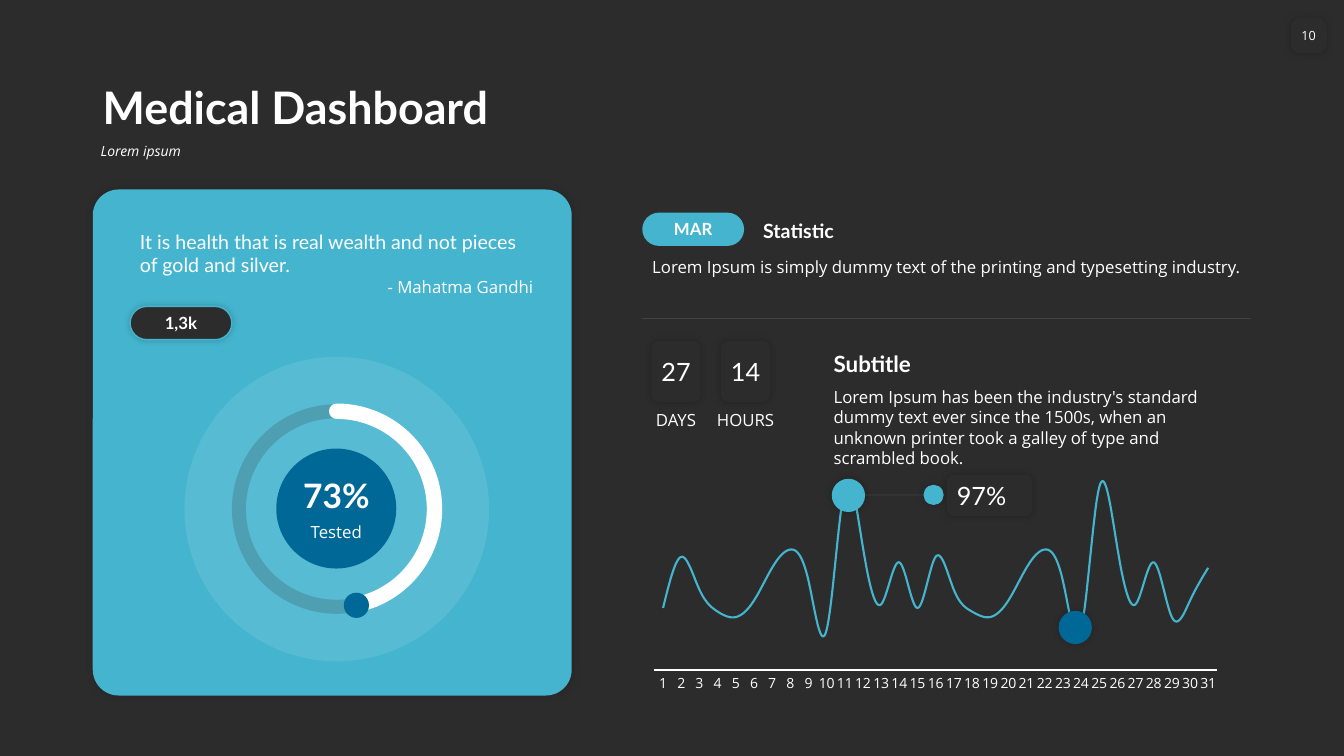
from lxml import etree
from pptx import Presentation
from pptx import util as u
from pptx.chart import data as chart_data
from pptx.dml.color import RGBColor
from pptx.enum import chart as charts, shapes, text
from pptx.oxml import parse_xml
from pptx.oxml.ns import nsdecls, qn

PX = 9144
DARK, AQUA, NAVY, WHITE = "2C2C2C", "45B5CF", "006896", "FFFFFF"
LATO, SANS = "Lato", "Open Sans"
LEFT, CENTER, RIGHT = text.PP_ALIGN.LEFT, text.PP_ALIGN.CENTER, text.PP_ALIGN.RIGHT
TOP, MIDDLE, BOTTOM = (text.MSO_ANCHOR.TOP, text.MSO_ANCHOR.MIDDLE,
                       text.MSO_ANCHOR.BOTTOM)
ROUND, OVAL, ARC = (shapes.MSO_SHAPE.ROUNDED_RECTANGLE, shapes.MSO_SHAPE.OVAL,
                    shapes.MSO_SHAPE.ARC)
SOFT, CARD = (20, 5, 0), (15, 6, 1)


def color(hex_code):
    return RGBColor.from_string(hex_code)


def px(*lengths):
    return [u.Emu(length * PX) for length in lengths]


def fade(fill, percent):
    tint = fill._xPr.find(qn("a:solidFill"))[0]
    etree.SubElement(tint, qn("a:alpha"), val=str(percent * 1000))


class Dashboard:
    """Draws styled elements on the current slide."""

    def __init__(self, deck):
        self.slide = deck.slides.add_slide(deck.slide_layouts[6])
        self.slide.background.fill.solid()
        self.slide.background.fill.fore_color.rgb = color(DARK)

    def set_text(self, frame, paragraphs, anchor, insets, wrap=True):
        frame.word_wrap = wrap
        frame.vertical_anchor = anchor
        (frame.margin_left, frame.margin_top,
         frame.margin_right, frame.margin_bottom) = px(*insets)
        for index, (words, size, font, align, style) in enumerate(paragraphs):
            line = frame.add_paragraph() if index else frame.paragraphs[0]
            line.alignment = align
            run = line.add_run()
            run.text = words
            run.font.size = u.Pt(size)
            run.font.name = font
            run.font.color.rgb = color(WHITE)
            run.font.bold = "b" in style
            run.font.italic = "i" in style

    def label(self, box, *paragraphs, anchor=TOP, insets=(10, 5, 10, 5), spacing=None):
        frame = self.slide.shapes.add_textbox(*px(*box)).text_frame
        self.set_text(frame, paragraphs, anchor, insets)
        if spacing:
            frame.paragraphs[0].line_spacing = spacing

    def shape(self, kind, box, fill=None, line=None, width=1, adjust=(), alpha=None,
              line_alpha=None, shadow=None, words=None, insets=(0, 5, 0, 5), wrap=True):
        item = self.slide.shapes.add_shape(kind, *px(*box))
        item.shadow.inherit = False
        for index, value in enumerate(adjust):
            item.adjustments[index] = value
        if fill:
            item.fill.solid()
            item.fill.fore_color.rgb = color(fill)
            if alpha:
                fade(item.fill, alpha)
        else:
            item.fill.background()
        if line:
            item.line.color.rgb = color(line)
            item.line.width = u.Pt(width)
            if line_alpha:
                fade(item.line.fill, line_alpha)
        else:
            item.line.fill.background()
        if shadow:
            strength, blur, distance = shadow
            effects = item._element.spPr.find(qn("a:effectLst"))
            effects.append(parse_xml(
                f'<a:outerShdw {nsdecls("a")} blurRad="{u.Pt(blur)}" '
                f'dist="{u.Pt(distance)}" dir="2700000" algn="tl" rotWithShape="0">'
                f'<a:srgbClr val="000000"><a:alpha val="{strength * 1000}"/>'
                '</a:srgbClr></a:outerShdw>'))
        if words:
            self.set_text(item.text_frame, [words], MIDDLE, insets, wrap)
        return item

    def rule(self, left, right, y):
        item = self.slide.shapes.add_connector(
            shapes.MSO_CONNECTOR.STRAIGHT, *px(left, y, right, y))
        item.line.color.rgb = color(WHITE)
        item.line.width = u.Pt(0.5)
        fade(item.line.fill, 10)
        etree.SubElement(item._element.spPr, qn("a:effectLst"))

    def line_chart(self, box, values):
        source = chart_data.CategoryChartData()
        source.categories = [str(day) for day in range(1, len(values) + 1)]
        source.add_series("Series 1", values)
        chart = self.slide.shapes.add_chart(
            charts.XL_CHART_TYPE.LINE_STACKED, *px(*box), source).chart
        chart.has_legend = chart.has_title = False
        chart.font.size = u.Pt(10)
        chart.font.name = SANS
        chart.font.color.rgb = color(WHITE)
        days, scale = chart.category_axis, chart.value_axis
        days.major_tick_mark = days.minor_tick_mark = charts.XL_TICK_MARK.NONE
        days.format.line.color.rgb = color(WHITE)
        days.format.line.width = u.Pt(0.75)
        scale.minimum_scale, scale.maximum_scale = 0, 120
        scale.has_major_gridlines = scale.visible = False
        plot = chart.plots[0]
        plot.vary_by_categories = False
        curve = plot.series[0]
        curve.smooth = True
        curve.marker.style = charts.XL_MARKER_STYLE.NONE
        curve.format.line.color.rgb = color(AQUA)
        curve.format.line.width = u.Pt(1.5)
        area = chart._chartSpace.chart.plotArea
        for old in area.findall(qn("c:layout")):
            area.remove(old)
        area.insert(0, parse_xml(
            f'<c:layout {nsdecls("c")}><c:manualLayout><c:layoutTarget val="inner"/>'
            '<c:xMode val="edge"/><c:yMode val="edge"/><c:x val="0.02"/>'
            '<c:y val="0.01"/><c:w val="0.96"/><c:h val="0.88"/>'
            '</c:manualLayout></c:layout>'))


def main():
    deck = Presentation()
    deck.slide_width, deck.slide_height = px(1333, 750)
    board = Dashboard(deck)

    board.shape(ROUND, (92, 188, 475, 502), AQUA, adjust=[0.054], shadow=CARD)
    board.label((92, 58, 1150, 80), ("Medical Dashboard", 32, LATO, LEFT, "b"),
                anchor=BOTTOM, spacing=0.9)
    board.label((90, 138, 1152, 36), ("Lorem ipsum", 10, SANS, LEFT, "i"), spacing=0.9)
    board.shape(ROUND, (1280, 18, 36, 35), DARK, adjust=[0.267], shadow=SOFT,
                words=("10", 9, SANS, CENTER, ""), wrap=False)

    board.label((129, 223, 410, 77),
                ("It is health that is real wealth and not pieces of gold and silver.",
                 14, LATO, LEFT, ""),
                ("- Mahatma Gandhi", 12, SANS, RIGHT, ""))
    board.shape(ROUND, (129, 304, 101, 33), DARK, AQUA, adjust=[0.5], shadow=SOFT,
                words=("1,3k", 12, LATO, CENTER, "b"), insets=(0, 0, 0, 0))

    ring = (237, 408, 194, 194)
    board.shape(OVAL, (183, 354, 302, 302), WHITE, alpha=10)
    board.shape(OVAL, (274, 445, 119, 119), NAVY)
    board.shape(OVAL, ring, line=DARK, width=10, line_alpha=20)
    progress = board.shape(ARC, ring, line=WHITE, width=11, adjust=[162, 44.96])
    progress.line._get_or_add_ln().set("cap", "rnd")
    board.shape(OVAL, (341, 588, 25, 25), NAVY)
    board.label((274, 466, 119, 50), ("73%", 24, LATO, CENTER, "b"), anchor=BOTTOM)
    board.label((274, 513, 119, 30), ("Tested", 12, SANS, CENTER, ""))

    board.label((747, 211, 494, 34), ("Statistic", 14, LATO, LEFT, "b"), anchor=BOTTOM)
    board.label((637, 250, 605, 30),
                ("Lorem Ipsum is simply dummy text of the printing and typesetting "
                 "industry.", 12, SANS, LEFT, ""))
    board.shape(ROUND, (637, 211, 101, 33), AQUA, adjust=[0.5],
                words=("MAR", 12, LATO, CENTER, "b"), insets=(0, 0, 0, 0))
    board.rule(637, 1241, 316)

    fortnight = [34, 62, 44, 32, 29, 38, 56, 66, 49, 22, 100, 67, 36, 59]
    board.line_chart((637, 445, 582, 247), fortnight * 2 + [29, 38, 56])

    for count, unit, left, width in (("27", "DAYS", 646, 59), ("14", "HOURS", 715, 67)):
        board.shape(ROUND, (left, 338, 49, 61), DARK, shadow=SOFT,
                    words=(count, 18, LATO, CENTER, ""))
        board.label((left + (49 - width) // 2, 402, width, 30),
                    (unit, 12, SANS, CENTER, ""), insets=(4, 5, 4, 5))

    board.label((817, 342, 426, 37), ("Subtitle", 16, LATO, LEFT, "b"), anchor=BOTTOM)
    board.label((817, 379, 426, 71),
                ("Lorem Ipsum has been the industry's standard dummy text ever since "
                 "the 1500s, when an unknown printer took a galley of type and "
                 "scrambled book.", 12, SANS, LEFT, ""))

    board.shape(OVAL, (825, 475, 33, 33), AQUA, shadow=SOFT)
    board.shape(OVAL, (1050, 606, 33, 33), NAVY, shadow=SOFT)
    board.rule(858, 919, 491)
    board.shape(OVAL, (916, 481, 20, 20), AQUA, shadow=SOFT)
    board.shape(ROUND, (939, 471, 85, 41), DARK, shadow=SOFT,
                words=("97%", 18, LATO, LEFT, ""), insets=(8, 5, 8, 5))
    deck.save("out.pptx")


if __name__ == "__main__":
    main()
